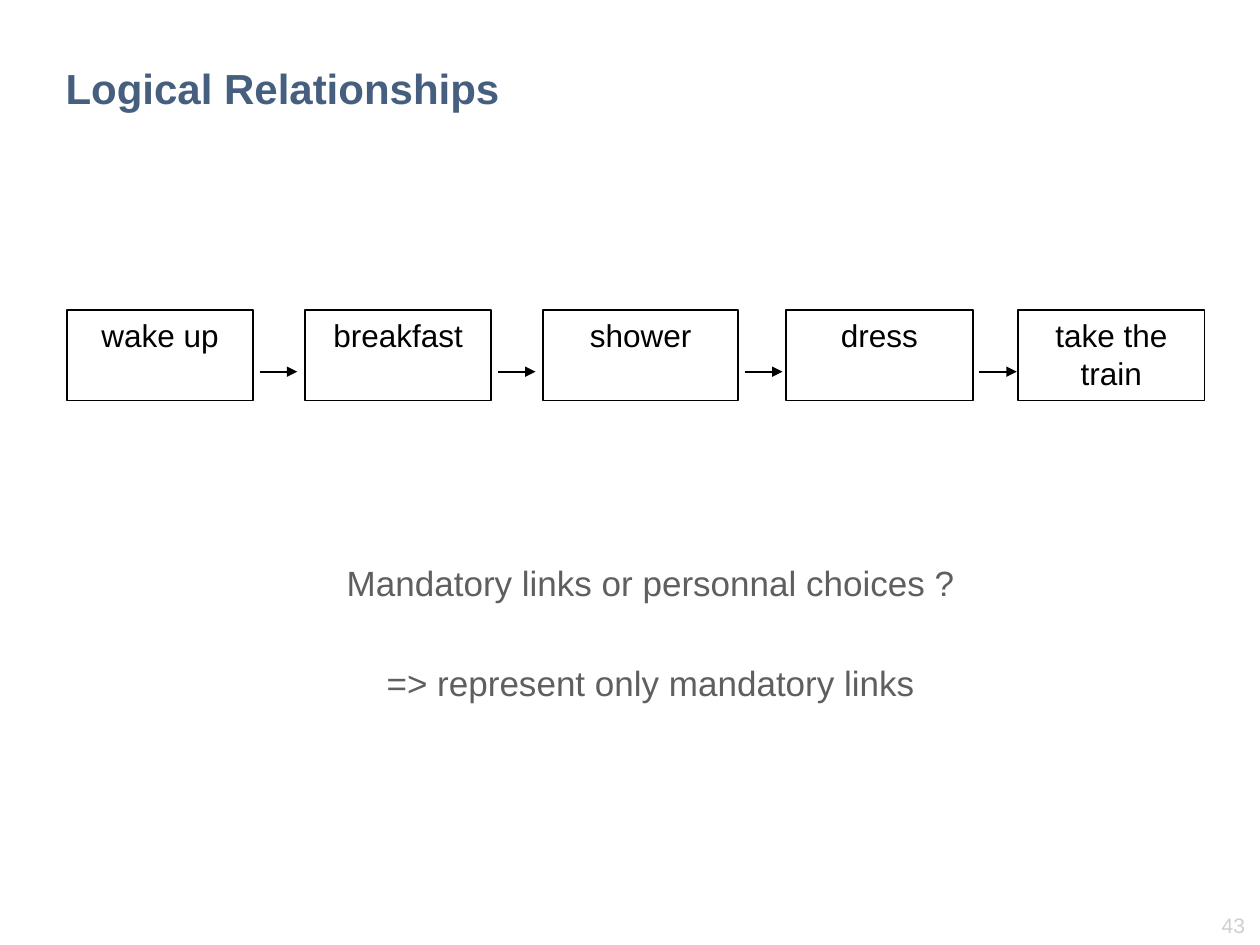
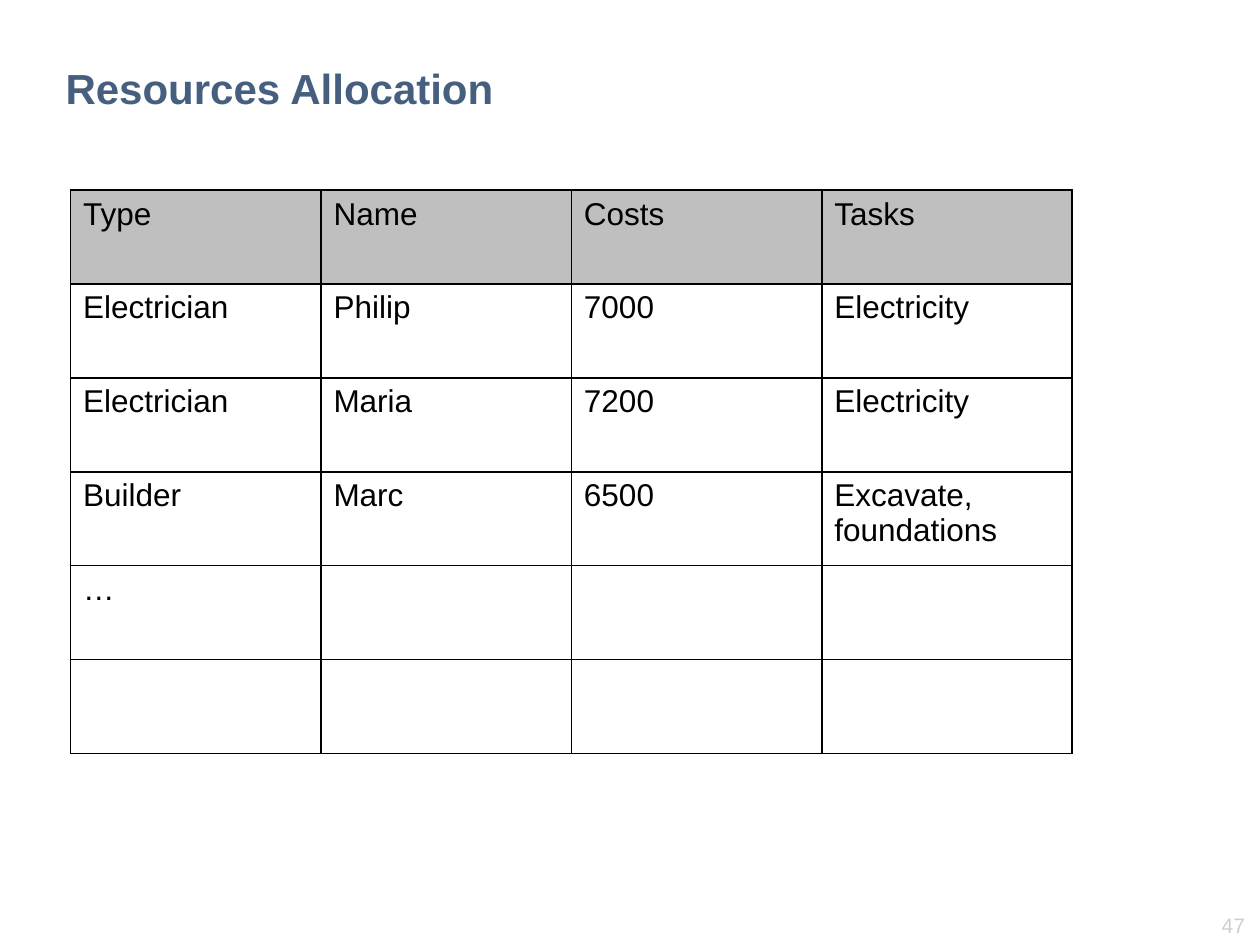
from dataclasses import dataclass

from lxml import etree
from pptx import Presentation
from pptx.dml.color import RGBColor
from pptx.enum.shapes import MSO_CONNECTOR, MSO_SHAPE
from pptx.enum.text import MSO_ANCHOR, MSO_AUTO_SIZE, PP_ALIGN
from pptx.oxml.ns import qn
from pptx.slide import Slide
from pptx.text.text import TextFrame
from pptx.util import Inches, Pt

LEFT, CENTER, RIGHT = PP_ALIGN.LEFT, PP_ALIGN.CENTER, PP_ALIGN.RIGHT
TOP, MIDDLE = MSO_ANCHOR.TOP, MSO_ANCHOR.MIDDLE
RECT, STRAIGHT = MSO_SHAPE.RECTANGLE, MSO_CONNECTOR.STRAIGHT
NO_FIT = MSO_AUTO_SIZE.NONE


@dataclass(frozen=True)
class Theme:
    font: str = "Arial"
    title: str = "465F7F"
    body: str = "5F5F5F"
    ink: str = "000000"
    page: str = "D0CECE"
    head: str = "BFBFBF"
    title_size: int = 24
    body_size: int = 20
    text_size: int = 18
    page_size: int = 12
    line: int = 1


@dataclass(frozen=True)
class Step:
    text: str
    left: float
    width: float = 1.48


THEME = Theme()
TITLE_ONLY, TITLE_BODY = 5, 1

STEPS = [
    Step("wake up", 0.53),
    Step("breakfast", 2.42),
    Step("shower", 4.31, 1.55),
    Step("dress", 6.24),
    Step("take the train", 8.08),
]
STEP_TOP, STEP_HIGH = 2.46, 0.72
LINK_TOP, LINK_GAP, LINK_LONG = 2.95, 0.05, 0.3

NOTES = ["Mandatory links or personnal choices ?", "=> represent only mandatory links"]

STAFF = [
    ["Type", "Name", "Costs", "Tasks"],
    ["Electrician", "Philip", "7000", "Electricity"],
    ["Electrician", "Maria", "7200", "Electricity"],
    ["Builder", "Marc", "6500", "Excavate, foundations"],
    ["…", "", "", ""],
    ["", "", "", ""],
]


# Shared helpers
def write(frame: TextFrame, *lines: str, size: int = THEME.text_size,
          color: str = THEME.ink, bold: bool = False, align: PP_ALIGN = LEFT,
          anchor: MSO_ANCHOR = TOP, gap: float = 0, hang: bool = False) -> None:
    """Write one paragraph per line, with gap points between them."""
    frame.word_wrap = True
    frame.auto_size = NO_FIT
    frame.vertical_anchor = anchor
    for i, line in enumerate(lines):
        para = frame.add_paragraph() if i else frame.paragraphs[0]
        if hang:
            props = para._p.get_or_add_pPr()
            props.set("marL", str(Inches(0.81)))
            props.set("indent", str(Inches(-0.31)))
            etree.SubElement(props, qn("a:buNone"))
        para.alignment = align
        para.space_before = Pt(gap if i else 0)
        run = para.add_run()
        run.text = line
        font = run.font
        font.name, font.size, font.bold = THEME.font, Pt(size), bold
        font.color.rgb = RGBColor.from_string(color)


def place(shape, left: float, top: float, width: float, height: float) -> None:
    shape.left, shape.top = Inches(left), Inches(top)
    shape.width, shape.height = Inches(width), Inches(height)


def start(deck, layout: int, title: str, page: int) -> Slide:
    """Add a slide with its title and page number."""
    slide = deck.slides.add_slide(deck.slide_layouts[layout])
    place(slide.shapes.title, 0.42, 0.32, 7.77, 0.75)
    write(slide.shapes.title.text_frame, title, size=THEME.title_size,
          color=THEME.title, bold=True, anchor=MIDDLE)
    box = slide.shapes.add_textbox(Inches(9.16), Inches(7.19), Inches(0.82), Inches(0.3))
    write(box.text_frame, str(page), size=THEME.page_size, color=THEME.page, align=RIGHT)
    return slide


# Flow of steps
def add_step(slide: Slide, step: Step) -> None:
    box = slide.shapes.add_shape(RECT, Inches(step.left), Inches(STEP_TOP),
                                 Inches(step.width), Inches(STEP_HIGH))
    box.shadow.inherit = False
    box.fill.background()
    box.line.color.rgb = RGBColor.from_string(THEME.ink)
    box.line.width = Pt(THEME.line)
    write(box.text_frame, step.text, align=CENTER)


def add_link(slide: Slide, left: float) -> None:
    link = slide.shapes.add_connector(STRAIGHT, Inches(left), Inches(LINK_TOP),
                                      Inches(left + LINK_LONG), Inches(LINK_TOP))
    link.line.color.rgb = RGBColor.from_string(THEME.ink)
    link.line.width = Pt(THEME.line)
    props = link._element.spPr
    etree.SubElement(props.find(qn("a:ln")), qn("a:tailEnd"), type="triangle")
    etree.SubElement(props, qn("a:effectLst"))


# Table cells
def add_edges(cell) -> None:
    props = cell._tc.get_or_add_tcPr()
    for side in ("lnL", "lnR", "lnT", "lnB"):
        edge = etree.SubElement(props, qn(f"a:{side}"), w=str(Pt(THEME.line)))
        fill = etree.SubElement(edge, qn("a:solidFill"))
        etree.SubElement(fill, qn("a:srgbClr"), val=THEME.ink)


def add_grid(slide: Slide, rows: list[list[str]]) -> None:
    table = slide.shapes.add_table(len(rows), len(rows[0]), Inches(0.56), Inches(1.51),
                                   Inches(7.95), Inches(4.47)).table
    table.first_row = table.horz_banding = False
    for r, row in enumerate(rows):
        for c, text in enumerate(row):
            cell = table.cell(r, c)
            add_edges(cell)
            if r == 0:
                cell.fill.solid()
                cell.fill.fore_color.rgb = RGBColor.from_string(THEME.head)
            else:
                cell.fill.background()
            if text:
                write(cell.text_frame, text)


# Slides
def add_flow(deck) -> None:
    slide = start(deck, TITLE_BODY, "Logical Relationships", 43)
    for step in STEPS:
        add_step(slide, step)
    for step in STEPS[:-1]:
        add_link(slide, step.left + step.width + LINK_GAP)
    body = slide.placeholders[1]
    place(body, 1.6, 4.41, 6.63, 1.79)
    write(body.text_frame, *NOTES, size=THEME.body_size, color=THEME.body,
          align=CENTER, gap=33, hang=True)


def add_staff(deck) -> None:
    slide = start(deck, TITLE_ONLY, "Resources Allocation", 47)
    add_grid(slide, STAFF)


def main() -> None:
    deck = Presentation()
    deck.slide_width, deck.slide_height = Inches(10), Inches(7.5)
    add_flow(deck)
    add_staff(deck)
    deck.save("out.pptx")


if __name__ == "__main__":
    main()
